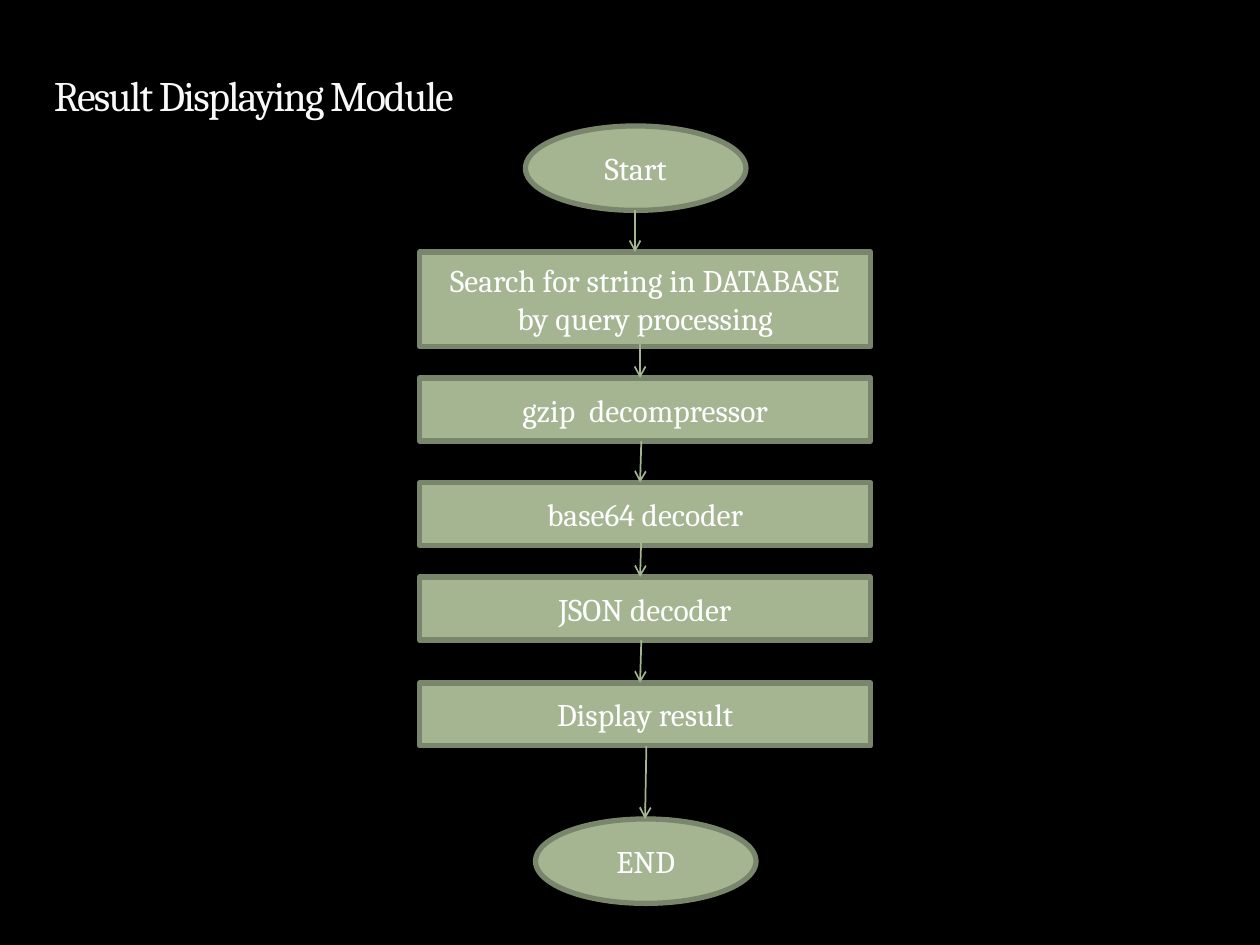
from dataclasses import dataclass

from lxml import etree
from pptx import Presentation
from pptx.dml.color import RGBColor
from pptx.enum.shapes import MSO_CONNECTOR, MSO_SHAPE
from pptx.enum.text import MSO_ANCHOR, PP_ALIGN
from pptx.oxml.ns import qn
from pptx.util import Inches, Pt

OVAL = MSO_SHAPE.OVAL
RECTANGLE = MSO_SHAPE.RECTANGLE
STRAIGHT = MSO_CONNECTOR.STRAIGHT
MIDDLE = MSO_ANCHOR.MIDDLE
BOTTOM = MSO_ANCHOR.BOTTOM
CENTER = PP_ALIGN.CENTER


@dataclass(frozen=True)
class Theme:
    font: str = "Cambria"
    background: RGBColor = RGBColor(0x00, 0x00, 0x00)
    title: RGBColor = RGBColor(0xF9, 0xF9, 0xF9)
    label: RGBColor = RGBColor(0xFF, 0xFF, 0xFF)
    fill: RGBColor = RGBColor(0xA5, 0xB5, 0x92)
    border: RGBColor = RGBColor(0x7A, 0x86, 0x6C)
    title_size: int = 24
    label_size: int = 18
    border_width: int = 3
    arrow_width: int = 1


THEME = Theme()

STEP_LEFT, STEP_WIDTH, STEP_HEIGHT = 3.33, 3.58, 0.5
TERMINAL_WIDTH, TERMINAL_HEIGHT = 1.75, 0.67

STEPS = [
    ("Search for string in DATABASE by query processing", 2, 0.75),
    ("gzip  decompressor", 3, STEP_HEIGHT),
    ("base64 decoder", 3.83, STEP_HEIGHT),
    ("JSON decoder", 4.58, STEP_HEIGHT),
    ("Display result", 5.42, STEP_HEIGHT),
]
TERMINALS = [("Start", 4.17, 1), ("END", 4.25, 6.5)]
ARROWS = [
    (5.04, 1.67, 5.04, 2),
    (5.08, 2.67, 5.08, 3),
    (5.09, 3.5, 5.08, 3.83),
    (5.09, 4.25, 5.08, 4.58),
    (5.09, 5.08, 5.08, 5.42),
    (5.13, 5.92, 5.12, 6.5),
]


def write_text(box, text, size, color, anchor):
    frame = box.text_frame
    frame.word_wrap = True
    frame.vertical_anchor = anchor
    frame.text = text
    span = frame.paragraphs[0].runs[0]
    span.font.name = THEME.font
    span.font.size = Pt(size)
    span.font.color.rgb = color
    return span


def add_title(page, text):
    box = page.shapes.add_textbox(Inches(0.33), Inches(0.17), Inches(9.17), Inches(0.83))
    span = write_text(box, text, THEME.title_size, THEME.title, BOTTOM)
    span.font._element.set("spc", "-100")


def add_node(page, kind, text, left, top, width, height):
    node = page.shapes.add_shape(
        kind, Inches(left), Inches(top), Inches(width), Inches(height)
    )
    node.shadow.inherit = False
    node.fill.solid()
    node.fill.fore_color.rgb = THEME.fill
    node.line.color.rgb = THEME.border
    node.line.width = Pt(THEME.border_width)
    write_text(node, text, THEME.label_size, THEME.label, MIDDLE)
    node.text_frame.paragraphs[0].alignment = CENTER


def add_arrow(page, *ends):
    arrow = page.shapes.add_connector(STRAIGHT, *map(Inches, ends))
    arrow.line.color.rgb = THEME.fill
    arrow.line.width = Pt(THEME.arrow_width)
    properties = arrow._element.spPr
    etree.SubElement(properties.find(qn("a:ln")), qn("a:tailEnd"), type="arrow")
    etree.SubElement(properties, qn("a:effectLst"))


def main():
    deck = Presentation()
    deck.slide_width, deck.slide_height = Inches(10), Inches(7.5)
    page = deck.slides.add_slide(deck.slide_layouts[6])
    page.background.fill.solid()
    page.background.fill.fore_color.rgb = THEME.background

    add_title(page, "Result Displaying Module")
    for text, left, top in TERMINALS:
        add_node(page, OVAL, text, left, top, TERMINAL_WIDTH, TERMINAL_HEIGHT)
    for text, top, height in STEPS:
        add_node(page, RECTANGLE, text, STEP_LEFT, top, STEP_WIDTH, height)
    for ends in ARROWS:
        add_arrow(page, *ends)

    deck.save("out.pptx")


if __name__ == "__main__":
    main()
